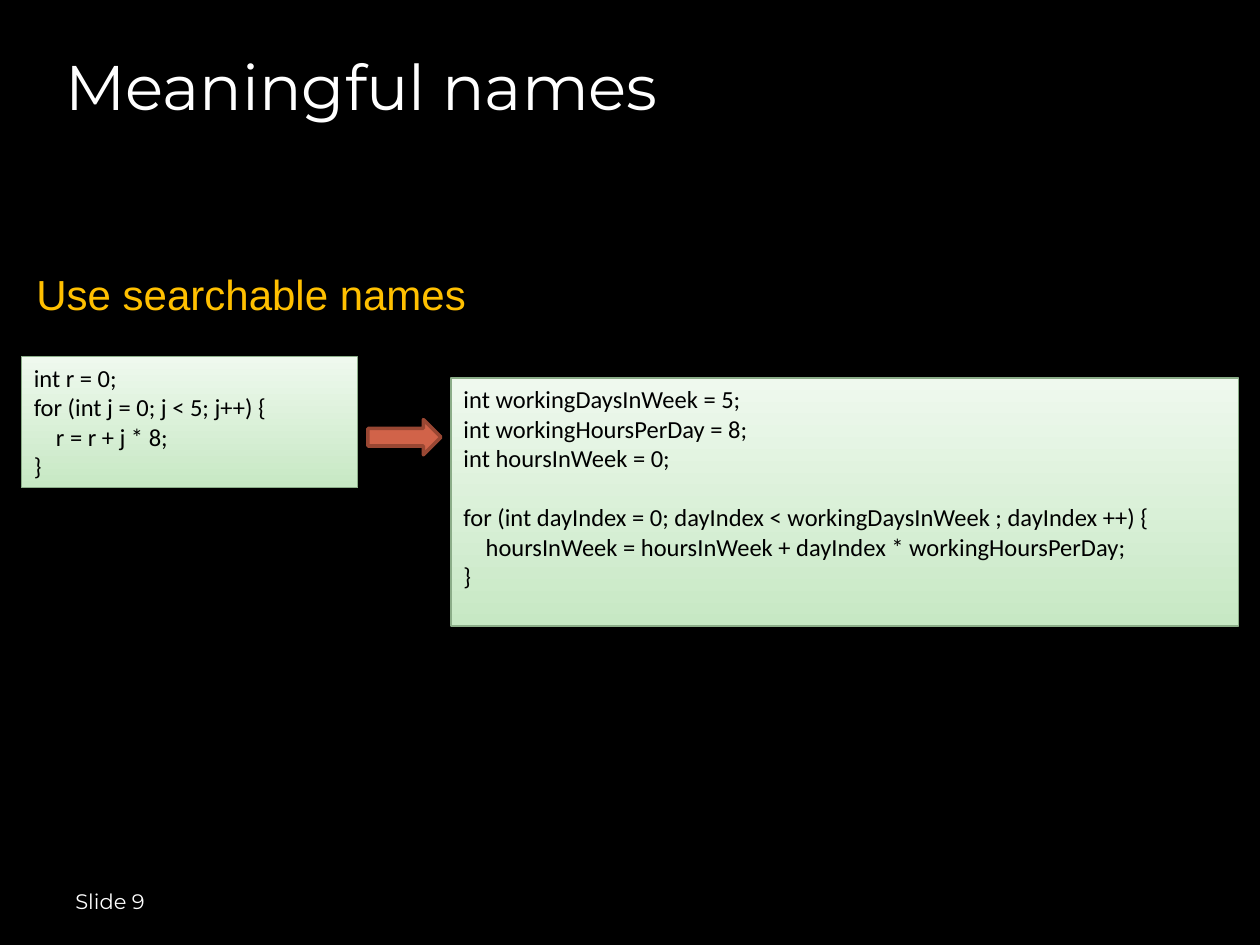
"""Build the "Meaningful names" slide on searchable names."""
from pptx import Presentation
from pptx.dml.color import RGBColor
from pptx.enum.shapes import MSO_SHAPE
from pptx.enum.text import MSO_ANCHOR, PP_ALIGN
from pptx.util import Inches, Pt

RECT, ARROW = MSO_SHAPE.RECTANGLE, MSO_SHAPE.RIGHT_ARROW
TOP, MIDDLE = MSO_ANCHOR.TOP, MSO_ANCHOR.MIDDLE
LEFT = PP_ALIGN.LEFT

BLACK = RGBColor(0x00, 0x00, 0x00)
WHITE = RGBColor(0xFF, 0xFF, 0xFF)
GOLD = RGBColor(0xFF, 0xC0, 0x00)
GREEN = RGBColor(0xC7, 0xE8, 0xC4)
PALE_GREEN = RGBColor(0xEF, 0xF9, 0xEE)
GREEN_EDGE = RGBColor(0x8B, 0xAD, 0x88)
RUST = RGBColor(0xD1, 0x63, 0x49)
RUST_EDGE = RGBColor(0x99, 0x47, 0x33)

LABELS = [
    ("Meaningful names", (0.42, 0.33, 9, 0.7), "Montserrat", 36, WHITE, MIDDLE, True),
    ("Slide 9", (0.5, 6.95, 2.33, 0.4), "Montserrat", 12, WHITE, MIDDLE, True),
    ("Use searchable names", (0.19, 2.08, 3.61, 0.5), "Arial", 24, GOLD, TOP, False),
]
CODE_BOXES = [
    ((0.17, 2.83, 2.67, 1.04), [
        ["int r = 0;",
         "for (int j = 0; j < 5; j++) {",
         "    r = r + j * 8;",
         "}"],
    ]),
    ((3.58, 3, 6.25, 1.97), [
        ["int workingDaysInWeek = 5;",
         "int workingHoursPerDay = 8;",
         "int hoursInWeek = 0;"],
        ["for (int dayIndex = 0; dayIndex < workingDaysInWeek ; dayIndex ++) {",
         "    hoursInWeek = hoursInWeek + dayIndex * workingHoursPerDay;",
         "}"],
    ]),
]
ARROW_BOX = (2.92, 3.33, 0.58, 0.28)
BLOCK_GAP = Pt(17)


def add_run(p, text, font, size, color):
    p.alignment = LEFT
    r = p.add_run()
    r.text = text
    r.font.name, r.font.size = font, Pt(size)
    r.font.color.rgb = color


def add_label(s, text, box, font, size, color, anchor, wrap):
    tf = s.shapes.add_textbox(*map(Inches, box)).text_frame
    tf.word_wrap, tf.vertical_anchor = wrap, anchor
    add_run(tf.paragraphs[0], text, font, size, color)


def add_outlined(s, kind, box, edge, width):
    sp = s.shapes.add_shape(kind, *map(Inches, box))
    sp.shadow.inherit = False
    sp.line.color.rgb, sp.line.width = edge, Pt(width)
    return sp


def add_code(s, box, blocks):
    sp = add_outlined(s, RECT, box, GREEN_EDGE, 0.75)
    sp.fill.gradient()
    sp.fill.gradient_angle = 90
    for stop, position, color in zip(sp.fill.gradient_stops, (0, 1), (GREEN, PALE_GREEN)):
        stop.position, stop.color.rgb = position, color
    tf = sp.text_frame
    tf.word_wrap, tf.vertical_anchor = True, TOP
    for b, block in enumerate(blocks):
        for i, line in enumerate(block):
            p = tf.add_paragraph() if b or i else tf.paragraphs[0]
            if b and not i:
                p.space_before = BLOCK_GAP
            add_run(p, line, "Calibri", 14, BLACK)


def main():
    prs = Presentation()
    prs.slide_width, prs.slide_height = Inches(10), Inches(7.5)
    s = prs.slides.add_slide(prs.slide_layouts[6])
    s.background.fill.solid()
    s.background.fill.fore_color.rgb = BLACK
    for label in LABELS:
        add_label(s, *label)
    for box, blocks in CODE_BOXES:
        add_code(s, box, blocks)
    arrow = add_outlined(s, ARROW, ARROW_BOX, RUST_EDGE, 2)
    arrow.fill.solid()
    arrow.fill.fore_color.rgb = RUST
    prs.save("out.pptx")


if __name__ == "__main__":
    main()
